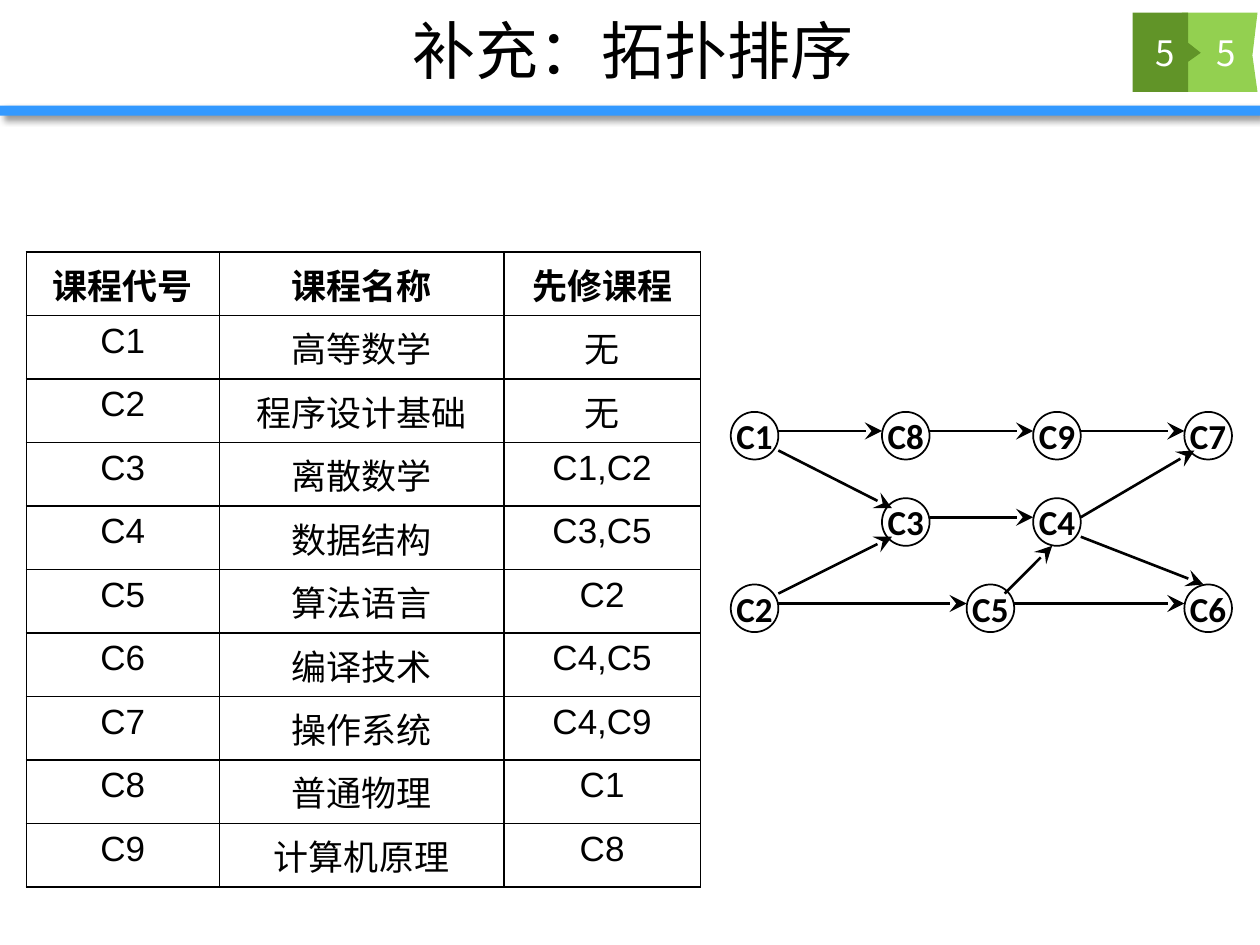
from lxml import etree
from pptx import Presentation
from pptx.dml.color import RGBColor
from pptx.enum.shapes import MSO_CONNECTOR, MSO_SHAPE
from pptx.enum.text import MSO_ANCHOR, PP_ALIGN
from pptx.oxml import parse_xml
from pptx.oxml.ns import nsdecls, qn
from pptx.util import Pt

CENTER = PP_ALIGN.CENTER
MIDDLE = MSO_ANCHOR.MIDDLE
COLORS = {"ink": "000000", "white": "FFFFFF", "bar": "3399FF",
          "light": "93D050", "dark": "619428"}
CJK = "Noto Sans CJK SC"

TITLE = "补充：拓扑排序"
COURSES = [
    ("课程代号", "课程名称", "先修课程"),
    ("C1", "高等数学", "无"),
    ("C2", "程序设计基础", "无"),
    ("C3", "离散数学", "C1,C2"),
    ("C4", "数据结构", "C3,C5"),
    ("C5", "算法语言", "C2"),
    ("C6", "编译技术", "C4,C5"),
    ("C7", "操作系统", "C4,C9"),
    ("C8", "普通物理", "C1"),
    ("C9", "计算机原理", "C8"),
]
COLUMN_WIDTHS = [110.2, 162.6, 112.4]
ROW_HEIGHT = 36.3

# Course: (column, row) in the graph grid
NODES = {"C1": (0, 0), "C8": (1, 0), "C9": (2, 0), "C7": (3, 0),
         "C3": (1, 1), "C4": (2, 1),
         "C2": (0, 2), "C5": (1.56, 2), "C6": (3, 2)}
GRID_LEFT, GRID_TOP = 417.6, 235.4
PITCH_X, PITCH_Y = 86.4, 49.3
NODE_SIZE = 27.2

# Points on a node, as fractions of its box
RIGHT, LEFT = (1, 0.4), (0, 0.4)
LOWER_RIGHT, UPPER_RIGHT = (1, 0.81), (1, 0.19)
TOP_LEFT, BOTTOM_LEFT = (0.21, 0.21), (0.21, 0.81)
EDGES = [
    ("C1", RIGHT, "C8", LEFT), ("C8", RIGHT, "C9", LEFT),
    ("C9", RIGHT, "C7", LEFT), ("C3", RIGHT, "C4", LEFT),
    ("C2", RIGHT, "C5", LEFT), ("C5", RIGHT, "C6", LEFT),
    ("C1", LOWER_RIGHT, "C3", TOP_LEFT),
    ("C2", UPPER_RIGHT, "C3", BOTTOM_LEFT),
    ("C5", (0.8, 0.19), "C4", (0.4, 1)),
    ("C4", RIGHT, "C7", BOTTOM_LEFT),
    ("C4", LOWER_RIGHT, "C6", (0.4, 0)),
]

BADGES = [
    ("light", [(675.4, 7.2), (718.6, 7.2), (715.7, 31.7), (718.6, 52.6),
               (675.4, 52.6)]),
    ("dark", [(647.3, 7.2), (679, 7.2), (679, 24.5), (686.2, 30.2),
              (679, 35.3), (679, 52.6), (647.3, 52.6)]),
]
BADGE_NUMBERS = [("5", 678.2), ("5", 643.7)]


def rgb(name):
    return RGBColor.from_string(COLORS[name])


def style_text(frame, size, font_name, color="ink", bold=False):
    paragraph = frame.paragraphs[0]
    paragraph.alignment = CENTER
    for run in paragraph.runs:
        run.font.size = Pt(size)
        run.font.name = font_name
        run.font.bold = bold
        run.font.color.rgb = rgb(color)
        east_asian = etree.Element(qn("a:ea"), typeface=CJK)
        run.font._element.find(qn("a:latin")).addnext(east_asian)


def fill_plain(shape, color):
    shape.shadow.inherit = False
    shape.fill.solid()
    shape.fill.fore_color.rgb = rgb(color)
    shape.line.fill.background()


def add_header(slide):
    bar = slide.shapes.add_shape(MSO_SHAPE.RECTANGLE, 0, Pt(60.3), Pt(720), Pt(5.8))
    fill_plain(bar, "bar")
    effects = bar._element.spPr.find(qn("a:effectLst"))
    effects.append(parse_xml(
        f'<a:outerShdw {nsdecls("a")} blurRad="{Pt(4)}" dist="{Pt(3)}" '
        'dir="2700000" rotWithShape="0">'
        f'<a:srgbClr val="{COLORS["ink"]}"><a:alpha val="40000"/></a:srgbClr>'
        '</a:outerShdw>'))

    for color, outline in BADGES:
        start, *rest = [(Pt(x), Pt(y)) for x, y in outline]
        builder = slide.shapes.build_freeform(*start)
        builder.add_line_segments(rest, close=True)
        fill_plain(builder.convert_to_shape(), color)

    for number, left in BADGE_NUMBERS:
        box = slide.shapes.add_textbox(Pt(left), Pt(7.2), Pt(44.6), Pt(45.4))
        frame = box.text_frame
        frame.word_wrap = True
        frame.vertical_anchor = MIDDLE
        frame.text = number
        style_text(frame, 20, CJK, "white")

    title = slide.shapes.title
    title.left, title.top, title.width, title.height = Pt(74), Pt(0.7), Pt(575.3), Pt(55.4)
    title.text_frame.text = TITLE
    title.text_frame.vertical_anchor = MIDDLE
    style_text(title.text_frame, 36, CJK)


def add_border(cell):
    """Draw a thin line on all four sides; borders precede the fill in tcPr."""
    properties = cell._tc.get_or_add_tcPr()
    for index, side in enumerate(("lnL", "lnR", "lnT", "lnB")):
        properties.insert(index, parse_xml(
            f'<a:{side} {nsdecls("a")} w="{Pt(1)}"><a:solidFill>'
            f'<a:srgbClr val="{COLORS["ink"]}"/></a:solidFill></a:{side}>'))


def add_course_table(slide):
    table = slide.shapes.add_table(
        len(COURSES), len(COLUMN_WIDTHS), Pt(15.1), Pt(144),
        Pt(sum(COLUMN_WIDTHS)), Pt(ROW_HEIGHT * len(COURSES))).table
    for column, width in zip(table.columns, COLUMN_WIDTHS):
        column.width = Pt(width)
    for r, course in enumerate(COURSES):
        table.rows[r].height = Pt(ROW_HEIGHT)
        for c, text in enumerate(course):
            cell = table.cell(r, c)
            cell.fill.background()
            add_border(cell)
            cell.text_frame.text = text
            style_text(cell.text_frame, 20, "Arial", bold=r == 0)


def node_point(course, fraction=(0, 0)):
    column, row = NODES[course]
    return (Pt(GRID_LEFT + column * PITCH_X + fraction[0] * NODE_SIZE),
            Pt(GRID_TOP + row * PITCH_Y + fraction[1] * NODE_SIZE))


def add_course_graph(slide):
    for course in NODES:
        node = slide.shapes.add_shape(
            MSO_SHAPE.OVAL, *node_point(course), Pt(NODE_SIZE), Pt(NODE_SIZE))
        node.shadow.inherit = False
        node.fill.background()
        node.line.color.rgb = rgb("ink")
        node.line.width = Pt(1)
        frame = node.text_frame
        frame.word_wrap = False
        frame.vertical_anchor = MIDDLE
        frame.text = course
        style_text(frame, 20, "Calibri", bold=True)

    for source, start, target, end in EDGES:
        arrow = slide.shapes.add_connector(
            MSO_CONNECTOR.STRAIGHT, *node_point(source, start), *node_point(target, end))
        arrow.line.color.rgb = rgb("ink")
        arrow.line.width = Pt(1.5)
        etree.SubElement(arrow.line._get_or_add_ln(), qn("a:tailEnd"),
                         type="stealth", w="lg", len="lg")
        etree.SubElement(arrow._element.spPr, qn("a:effectLst"))


def main():
    deck = Presentation()
    deck.slide_width, deck.slide_height = Pt(720), Pt(540)
    slide = deck.slides.add_slide(deck.slide_layouts[5])
    add_header(slide)
    add_course_graph(slide)
    add_course_table(slide)
    deck.save("out.pptx")


if __name__ == "__main__":
    main()
